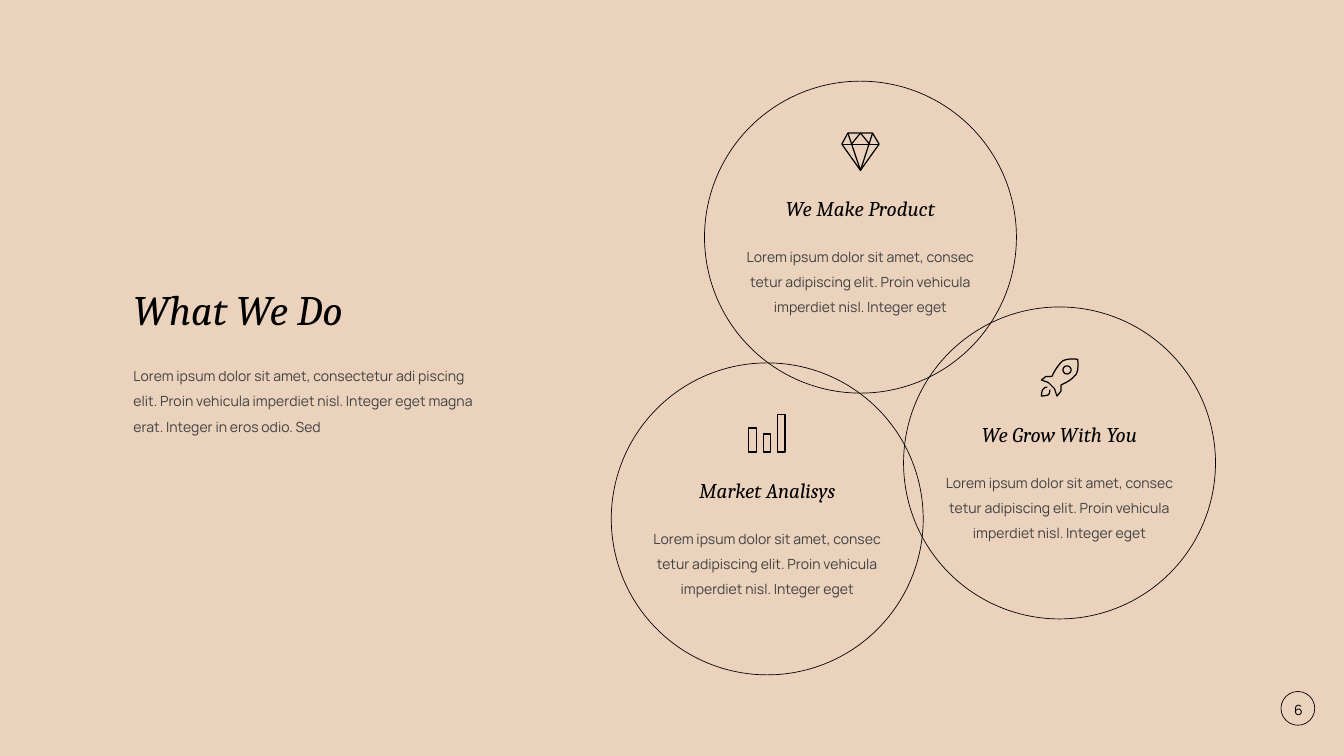
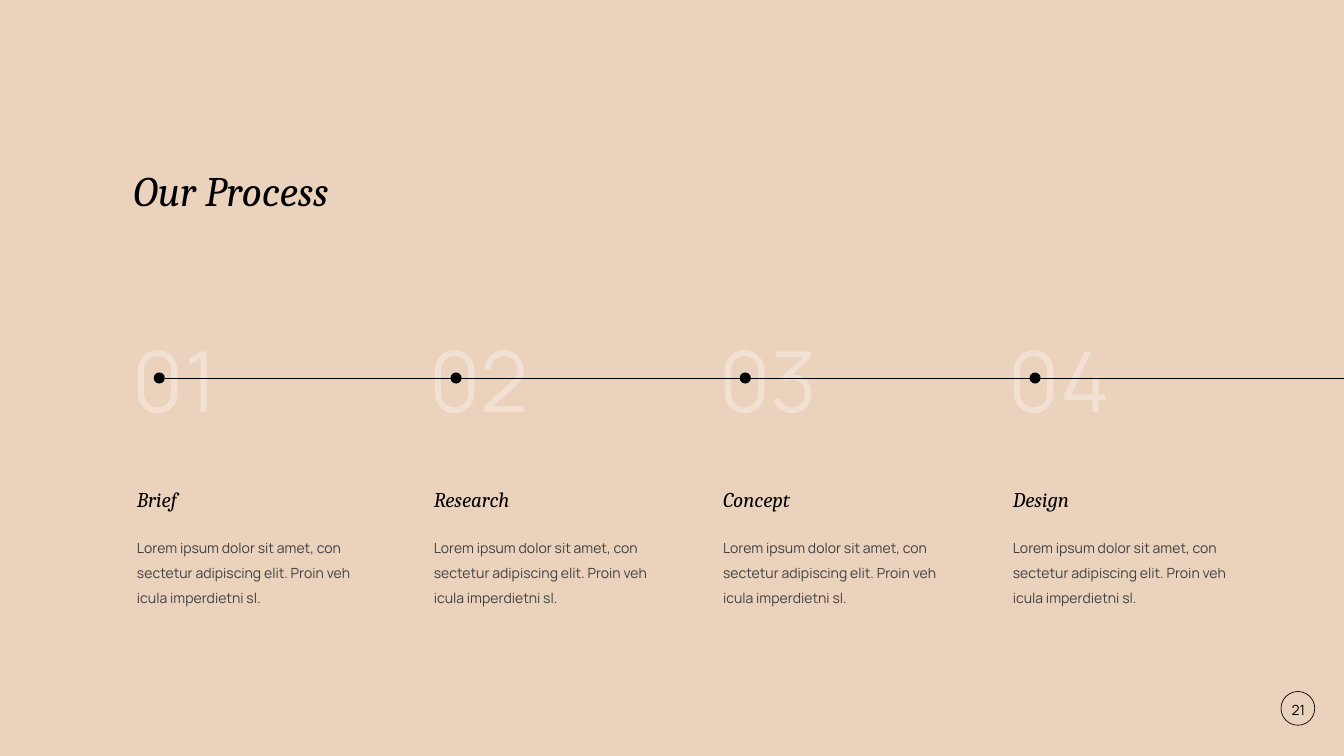
from dataclasses import dataclass
from math import cos, pi, sin

from lxml.etree import SubElement
from pptx import Presentation
from pptx.dml.color import RGBColor
from pptx.enum.shapes import MSO_CONNECTOR, MSO_SHAPE
from pptx.enum.text import MSO_ANCHOR, PP_ALIGN
from pptx.oxml.ns import qn
from pptx.util import Inches, Pt

# Grid of one-inch cells
COLUMNS, ROWS = 26.67, 15
MARGIN = 2.55


@dataclass(frozen=True)
class TextStyle:
    font: str
    size: int
    color: str
    italic: bool = False
    spacing: float = 1.5


class Theme:
    background = "EBD2BC"
    ink = "000000"
    outline = 1
    icon_stroke = 1.75
    title = TextStyle("Cambria", 60, ink, italic=True)
    heading = TextStyle("Cambria", 30, ink, italic=True)
    body = TextStyle("Manrope", 20, "404040")
    page_number = TextStyle("Manrope", 20, ink)
    step_number = TextStyle("Manrope", 120, "F2E1D2", spacing=1.0)


# Icon strokes: a start, then points (x, y) or curves (x1, y1, x2, y2, x, y)
def bar(left, top, right):
    base = 0.75
    return [(left, top), (right, top), (right, base), (left, base), (left, top)]


def ring(x, y, radius, sides=32):
    angles = [2 * pi * side / sides for side in range(sides + 1)]
    return [(x + radius * cos(a), y + radius * sin(a)) for a in angles]


DIAMOND = [
    [(0.01, 0.23), (0.13, 0.01), (0.62, 0.01), (0.75, 0.23), (0.38, 0.75), (0.01, 0.23)],
    [(0.01, 0.23), (0.75, 0.23)],
    [(0.13, 0.01), (0.38, 0.75), (0.62, 0.01)],
    [(0.2, 0.23), (0.38, 0.01)],
    [(0.38, 0.01), (0.56, 0.23)],
]
BARS = [bar(0.01, 0.27, 0.17), bar(0.3, 0.39, 0.45), bar(0.58, 0.01, 0.73)]
ROCKET = [
    [(0.02, 0.43), (0.11, 0.36), (0.23, 0.36),
     (0.28, 0.25, 0.33, 0.17, 0.42, 0.07),
     (0.47, 0.02, 0.6, 0.0, 0.74, 0.02),
     (0.75, 0.08, 0.76, 0.28, 0.69, 0.34),
     (0.6, 0.44, 0.51, 0.48, 0.41, 0.53),
     (0.41, 0.65), (0.33, 0.75), (0.28, 0.6), (0.16, 0.48), (0.02, 0.43)],
    [(0.14, 0.57), (0.03, 0.58, 0.03, 0.66, 0.02, 0.75),
     (0.17, 0.73, 0.18, 0.74, 0.19, 0.62)],
    ring(0.53, 0.23, 0.08),
]

SERVICES = {
    "number": "6",
    "title": "What We Do",
    "intro": "Lorem ipsum dolor sit amet, consectetur adi piscing elit. Proin vehicula "
             "imperdiet nisl. Integer eget magna erat. Integer in eros odio. Sed",
    "text": "Lorem ipsum dolor sit amet, consec tetur adipiscing elit. "
            "Proin vehicula imperdiet nisl. Integer eget",
    "circles": [  # heading, icon, left, top
        ("We Make Product", DIAMOND, 13.98, 1.61),
        ("Market Analisys", BARS, 12.13, 7.2),
        ("We Grow With You", ROCKET, 17.93, 6.09),
    ],
}
PROCESS = {
    "number": "21",
    "title": "Our Process",
    "text": "Lorem ipsum dolor sit amet, con sectetur adipiscing elit. "
            "Proin veh icula imperdietni sl.",
    "steps": [("Brief", 2.62), ("Research", 8.51), ("Concept", 14.25), ("Design", 20)],
}
CIRCLE = 6.19
ICON = 0.76
DOT = 0.22
AXIS = ROWS / 2


def cells(*lengths):
    return [Inches(length) for length in lengths]


def color(code):
    return RGBColor.from_string(code)


def add_text(page, text, style, place, align=PP_ALIGN.LEFT, anchor=MSO_ANCHOR.TOP):
    box = page.shapes.add_textbox(*cells(*place))
    frame = box.text_frame
    frame.word_wrap = True
    frame.vertical_anchor = anchor
    frame.text = text
    para = frame.paragraphs[0]
    para.alignment = align
    para.line_spacing = style.spacing
    font = para.runs[0].font
    font.name, font.size, font.italic = style.font, Pt(style.size), style.italic
    font.color.rgb = color(style.color)


def add_circle(page, left, top, size, filled=False):
    circle = page.shapes.add_shape(MSO_SHAPE.OVAL, *cells(left, top, size, size))
    circle.shadow.inherit = False
    if filled:
        circle.fill.solid()
        circle.fill.fore_color.rgb = color(Theme.ink)
        circle.line.fill.background()
    else:
        circle.fill.background()
        circle.line.color.rgb = color(Theme.ink)
        circle.line.width = Pt(Theme.outline)


def flatten(stroke, parts=10):
    """Turn the curves of a stroke into short straight pieces."""
    points = [stroke[0]]
    for piece in stroke[1:]:
        if len(piece) == 2:
            points.append(piece)
            continue
        corners = [points[-1], piece[:2], piece[2:4], piece[4:]]
        for part in range(1, parts + 1):
            t = part / parts
            weights = ((1 - t) ** 3, 3 * t * (1 - t) ** 2, 3 * t * t * (1 - t), t ** 3)
            points.append(tuple(sum(w * corner[axis] for w, corner in zip(weights, corners))
                                for axis in (0, 1)))
    return points


def add_icon(page, strokes, left, top):
    group = page.shapes.add_group_shape()
    for stroke in strokes:
        points = [cells(left + x, top + y) for x, y in flatten(stroke)]
        builder = group.shapes.build_freeform(*points[0])
        builder.add_line_segments(points[1:], close=points[0] == points[-1])
        outline = builder.convert_to_shape()
        outline.shadow.inherit = False
        outline.fill.background()
        outline.line.color.rgb = color(Theme.ink)
        outline.line.width = Pt(Theme.icon_stroke)


def add_page(deck, content, title_top):
    """Add a blank page with its title and circled page number."""
    page = deck.slides.add_slide(deck.slide_layouts[6])
    left, top = COLUMNS - 1.25, ROWS - 1.28
    add_text(page, content["number"], Theme.page_number, (left, top, 0.69, 0.56),
             PP_ALIGN.CENTER, MSO_ANCHOR.MIDDLE)
    add_circle(page, left, top, 0.67)
    add_text(page, content["title"], Theme.title, (MARGIN, title_top, 8.78, 1.43))
    return page


def build_services(deck):
    page = add_page(deck, SERVICES, 5.07)
    add_text(page, SERVICES["intro"], Theme.body, (MARGIN, 7.08, 6.96, 1.57))
    inset = 0.42
    width = CIRCLE - 2 * inset
    for heading, icon, left, top in SERVICES["circles"]:
        add_text(page, SERVICES["text"], Theme.body,
                 (left + inset, top + 3.1, width, 1.79), PP_ALIGN.CENTER)
        add_text(page, heading, Theme.heading,
                 (left + inset, top + 1.98, width, 0.77), PP_ALIGN.CENTER)
        add_circle(page, left, top, CIRCLE)
        add_icon(page, icon, left + (CIRCLE - ICON) / 2, top + 1.02)


def build_process(deck):
    page = add_page(deck, PROCESS, 2.72)
    dot_shift = 0.43
    for number, (heading, left) in enumerate(PROCESS["steps"], 1):
        add_text(page, f"{number:02}", Theme.step_number, (left - 0.08, 6.47, 3.44, 2.12))
        add_text(page, PROCESS["text"], Theme.body, (left, 10.49, 4.83, 1.79))
        add_text(page, heading, Theme.heading, (left, 9.36, 4.62, 0.77))
        add_circle(page, left + dot_shift, AXIS - DOT / 2, DOT, filled=True)
    start = PROCESS["steps"][0][1] + dot_shift + DOT
    line = page.shapes.add_connector(MSO_CONNECTOR.STRAIGHT,
                                     *cells(COLUMNS, AXIS, start, AXIS))
    line.line.color.rgb = color(Theme.ink)
    line.line.width = Pt(Theme.outline)
    SubElement(line._element.spPr, qn("a:effectLst"))


def main():
    deck = Presentation()
    deck.slide_width, deck.slide_height = cells(COLUMNS, ROWS)
    fill = deck.slide_master.background.fill
    fill.solid()
    fill.fore_color.rgb = color(Theme.background)
    build_services(deck)
    build_process(deck)
    deck.save("out.pptx")


if __name__ == "__main__":
    main()
